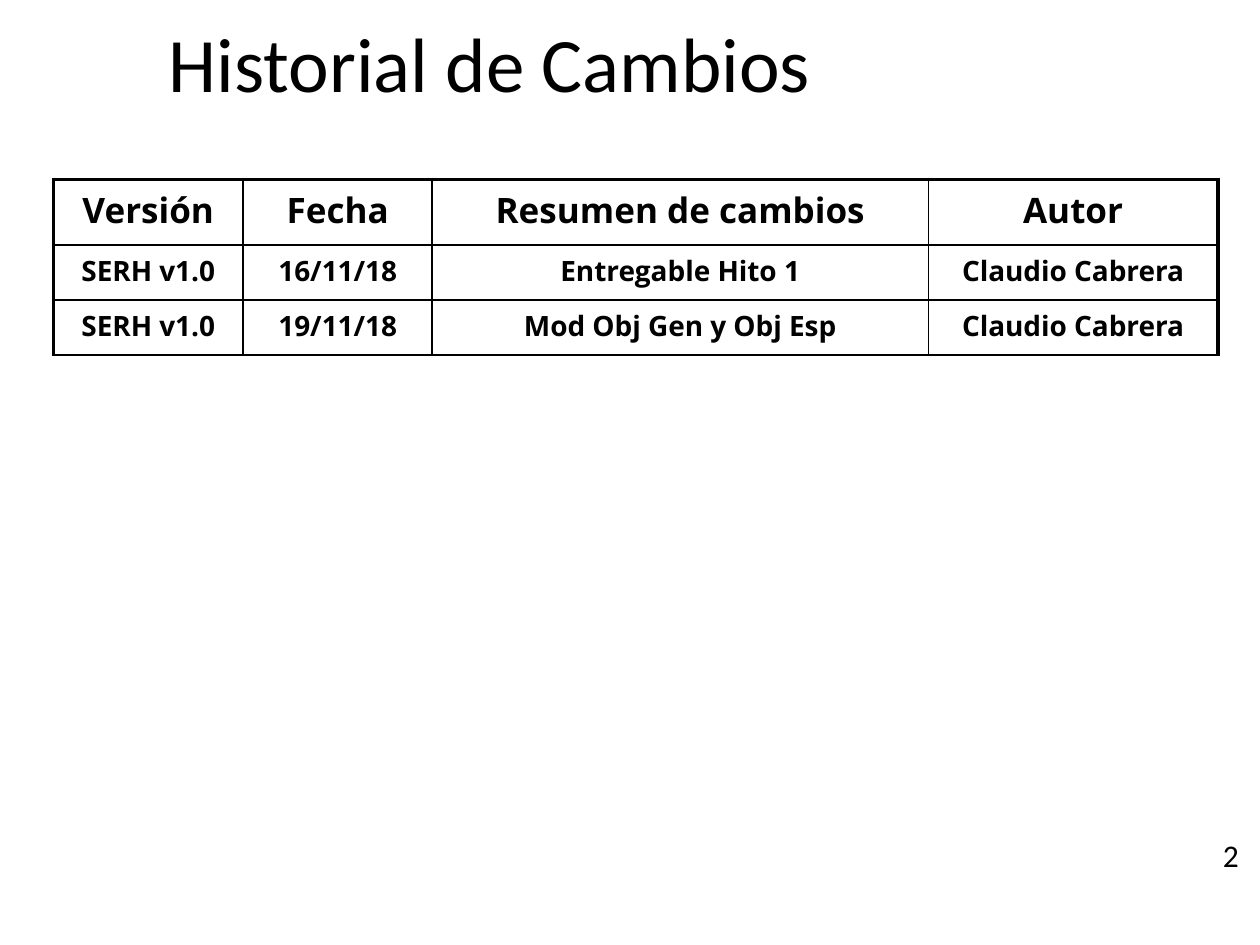
from lxml.etree import SubElement
from pptx import Presentation
from pptx.dml.color import RGBColor
from pptx.enum.text import MSO_ANCHOR as Anchor, PP_ALIGN as Align
from pptx.oxml.ns import qn
from pptx.util import Pt

COLORS = {"text": "000000", "border": "000000", "background": "FFFFFF"}
THIN, THICK = 1, 2.25
COLUMN_WIDTHS = [108.5, 108, 283.5, 165.5]
ROW_HEIGHTS = [37.5, 31.5, 31.5]
CHANGES = [
    ["Versión", "Fecha", "Resumen de cambios", "Autor"],
    ["SERH v1.0", "16/11/18", "Entregable Hito 1", "Claudio Cabrera"],
    ["SERH v1.0", "19/11/18", "Mod Obj Gen y Obj Esp", "Claudio Cabrera"],
]


def add_text(frame, text, size, align, font="Calibri", bold=False):
    """Write one run in the first paragraph of a frame and return the paragraph."""
    paragraph = frame.paragraphs[0]
    paragraph.alignment = align
    run = paragraph.add_run()
    run.text = text
    run.font.name = font
    run.font.size = Pt(size)
    run.font.bold = bold
    run.font.color.rgb = RGBColor.from_string(COLORS["text"])
    return paragraph


def add_label(slide, box, text, size, align, anchor=Anchor.TOP):
    """Place a wrapped text box in the given box."""
    frame = slide.shapes.add_textbox(*map(Pt, box)).text_frame
    frame.word_wrap = True
    frame.vertical_anchor = anchor
    add_text(frame, text, size, align)


def set_borders(cell, widths):
    """Draw the left, right, top and bottom borders of a cell."""
    properties = cell._tc.get_or_add_tcPr()
    for side, width in zip("LRTB", widths):
        line = SubElement(properties, qn(f"a:ln{side}"), w=str(Pt(width)))
        fill = SubElement(line, qn("a:solidFill"))
        SubElement(fill, qn("a:srgbClr"), val=COLORS["border"])


def add_history(slide, left, top):
    """Place the change history table, with a thick edge at left, right and top."""
    size = Pt(sum(COLUMN_WIDTHS)), Pt(sum(ROW_HEIGHTS))
    table = slide.shapes.add_table(
        len(ROW_HEIGHTS), len(COLUMN_WIDTHS), Pt(left), Pt(top), *size).table
    table.first_row = table.horz_banding = False
    for column, width in zip(table.columns, COLUMN_WIDTHS):
        column.width = Pt(width)
    last = len(COLUMN_WIDTHS) - 1
    for i, (height, texts) in enumerate(zip(ROW_HEIGHTS, CHANGES)):
        table.rows[i].height = Pt(height)
        font_size = 20 if i == 0 else 16
        for j, text in enumerate(texts):
            cell = table.cell(i, j)
            edges = (j == 0, j == last, i == 0, False)
            set_borders(cell, [THICK if edge else THIN for edge in edges])
            cell.fill.background()
            paragraph = add_text(cell.text_frame, text, font_size,
                                 Align.CENTER, "Open Sans", True)
            paragraph.space_before = paragraph.space_after = Pt(font_size / 10)


def build_slide(presentation):
    """Add the change history slide."""
    slide = presentation.slides.add_slide(presentation.slide_layouts[6])
    background = slide.background.fill
    background.solid()
    background.fore_color.rgb = RGBColor.from_string(COLORS["background"])
    add_label(slide, (25, 5, 510, 61), "Historial de Cambios", 44,
              Align.CENTER, Anchor.MIDDLE)
    add_history(slide, 30.5, 102.5)
    add_label(slide, (547, 474, 168, 29), "2", 18, Align.RIGHT)


presentation = Presentation()
presentation.slide_width, presentation.slide_height = Pt(720), Pt(540)
build_slide(presentation)
presentation.save("out.pptx")
